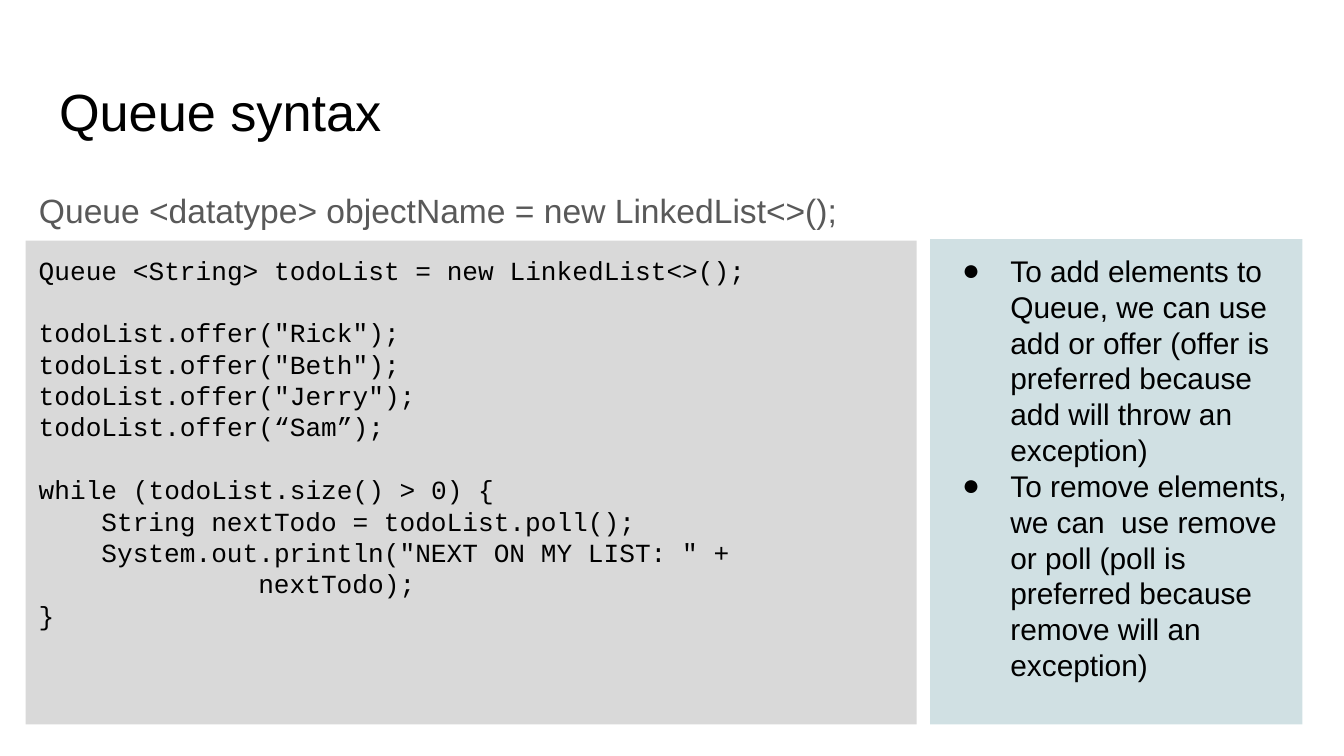
"""Build the Queue syntax slide."""
import dataclasses

import lxml.etree
import pptx
import pptx.dml.color
import pptx.enum.shapes
import pptx.enum.text
import pptx.oxml.ns
import pptx.util

Inches = pptx.util.Inches
Pt = pptx.util.Pt


@dataclasses.dataclass(frozen=True)
class Style:
    font: str
    size: int
    color: str


@dataclasses.dataclass(frozen=True)
class Theme:
    title: Style = Style("Arial", 28, "000000")
    lead: Style = Style("Arial", 18, "595959")
    code: Style = Style("Courier New", 14, "000000")
    note: Style = Style("Arial", 16, "000000")
    gray: str = "D9D9D9"
    teal: str = "D0E0E3"
    inset: float = 0.1
    gap: float = 16.8


THEME = Theme()
TITLE = "Queue syntax"
LEAD = "Queue <datatype> objectName = new LinkedList<>();"
CODE = [
    ["Queue <String> todoList = new LinkedList<>();"],
    [
        'todoList.offer("Rick");',
        'todoList.offer("Beth");',
        'todoList.offer("Jerry");',
        "todoList.offer(“Sam”);",
    ],
    [
        "while (todoList.size() > 0) {",
        (4, "String nextTodo = todoList.poll();"),
        (4, 'System.out.println("NEXT ON MY LIST: " +'),
        (14, "nextTodo);"),
        "}",
    ],
]
NOTES = [
    "To add elements to Queue, we can use add or offer (offer is preferred "
    "because add will throw an exception)",
    "To remove elements, we can  use remove or poll (poll is preferred "
    "because remove will an exception)",
]


def rgb(color):
    return pptx.dml.color.RGBColor.from_string(color)


def place(shape, left, top, width, height):
    shape.left, shape.top = Inches(left), Inches(top)
    shape.width, shape.height = Inches(width), Inches(height)


def set_frame(shape):
    frame = shape.text_frame
    frame.word_wrap = True
    frame.auto_size = pptx.enum.text.MSO_AUTO_SIZE.NONE
    frame.vertical_anchor = pptx.enum.text.MSO_ANCHOR.TOP
    frame.margin_left = frame.margin_right = Inches(THEME.inset)
    frame.margin_top = frame.margin_bottom = Inches(THEME.inset)
    return frame


def set_indent(para, left, hang=0, mark=None):
    props = para._p.get_or_add_pPr()
    props.set("marL", str(Inches(left)))
    props.set("indent", str(Inches(hang)))
    tag = pptx.oxml.ns.qn
    if mark:
        lxml.etree.SubElement(props, tag("a:buFont"), typeface="Arial")
        lxml.etree.SubElement(props, tag("a:buChar"), char=mark)
    else:
        lxml.etree.SubElement(props, tag("a:buNone"))


def write(para, text, style, before=0, line=1.0, left=0, hang=0, mark=None):
    para.text = text
    para.alignment = pptx.enum.text.PP_ALIGN.LEFT
    para.line_spacing = line
    para.space_before = Pt(before)
    set_indent(para, left, hang, mark)
    para.font.name = style.font
    para.font.size = Pt(style.size)
    para.font.color.rgb = rgb(style.color)


def fill_holder(holder, box, text, style, line=1.0):
    place(holder, *box)
    write(set_frame(holder).paragraphs[0], text, style, line=line)


def add_panel(slide, box, color):
    kind = pptx.enum.shapes.MSO_SHAPE.RECTANGLE
    panel = slide.shapes.add_shape(kind, *map(Inches, box))
    panel.shadow.inherit = False
    panel.fill.solid()
    panel.fill.fore_color.rgb = rgb(color)
    panel.line.fill.background()
    return set_frame(panel)


def next_para(frame, first):
    return frame.paragraphs[0] if first else frame.add_paragraph()


def add_code(slide, box):
    frame = add_panel(slide, box, THEME.gray)
    char = THEME.code.size * 0.6 / 72
    for b, block in enumerate(CODE):
        for i, line in enumerate(block):
            depth, text = (0, line) if isinstance(line, str) else line
            before = THEME.gap if b and not i else 0
            para = next_para(frame, b == i == 0)
            write(para, text, THEME.code, before, left=depth * char)


def add_notes(slide, box):
    frame = add_panel(slide, box, THEME.teal)
    for i, text in enumerate(NOTES):
        para = next_para(frame, i == 0)
        write(para, text, THEME.note, left=0.5, hang=-0.36, mark="●")


def main():
    deck = pptx.Presentation()
    deck.slide_width, deck.slide_height = Inches(10), Inches(10 * 9 / 16)
    slide = deck.slides.add_slide(deck.slide_layouts[1])
    title, body = slide.placeholders
    fill_holder(title, (0.34, 0.49, 9.32, 0.63), TITLE, THEME.title)
    fill_holder(body, (0.19, 1.27, 9.32, 3.74), LEAD, THEME.lead, 1.15)
    add_code(slide, (0.19, 1.79, 6.63, 3.6))
    add_notes(slide, (6.92, 1.78, 2.77, 3.61))
    deck.save("out.pptx")


if __name__ == "__main__":
    main()
